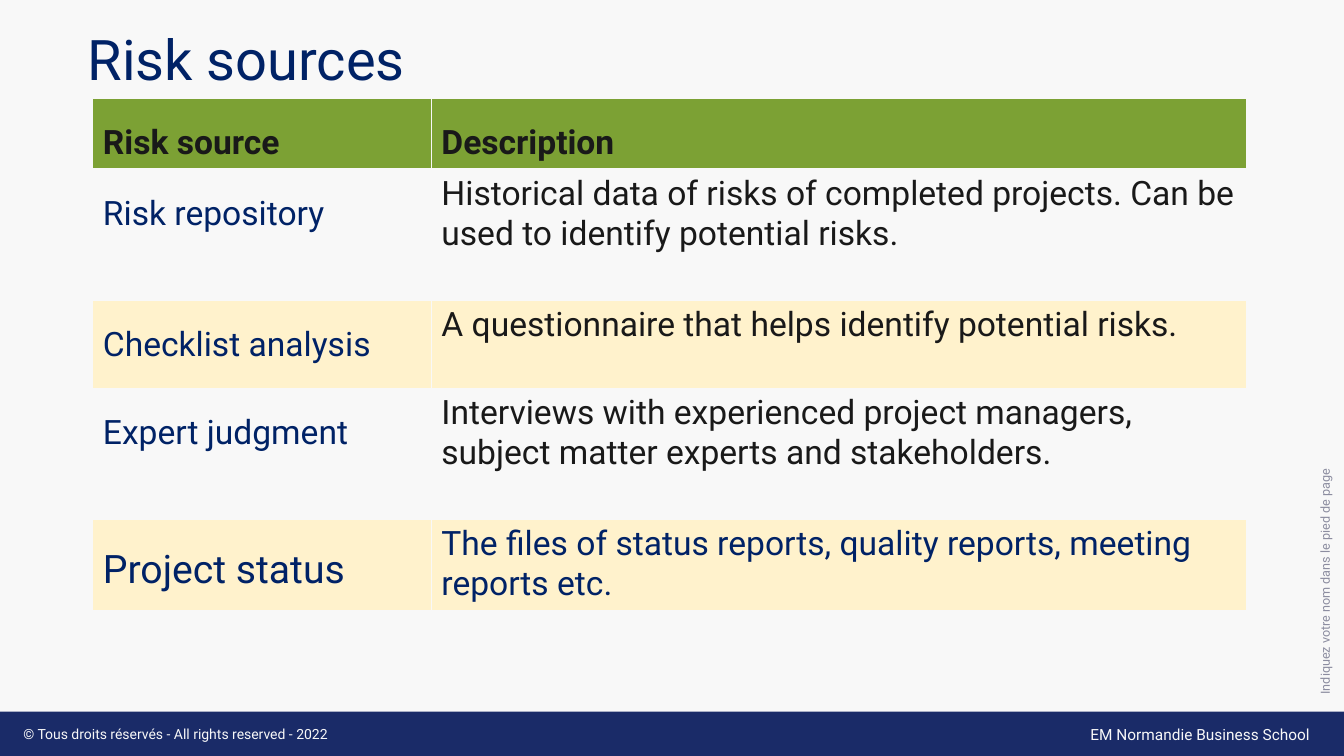
import dataclasses

import lxml.etree
import pptx
import pptx.dml.color
import pptx.enum.shapes
import pptx.enum.text
import pptx.oxml.ns
import pptx.util

Cm = pptx.util.Cm
Pt = pptx.util.Pt
MIDDLE = pptx.enum.text.MSO_ANCHOR.MIDDLE
TOP = pptx.enum.text.MSO_ANCHOR.TOP

COLORS = {
    "paper": "F8F8F8",
    "bar": "1A2B68",
    "navy": "002266",
    "ink": "191919",
    "grey": "8C8DA0",
    "green": "7CA134",
    "cream": "FFF2CC",
}


@dataclasses.dataclass
class Label:
    text: str
    box: tuple[float, float, float, float]
    size: float
    color: str
    anchor: pptx.enum.text.MSO_ANCHOR = TOP
    wrap: bool = False
    spacing: float = 1.0
    vert: str = "horz"


@dataclasses.dataclass
class Row:
    source: str
    description: str
    height: float
    fill: str
    source_color: str = "navy"
    text_color: str = "ink"
    source_size: float = 24
    header: bool = False


LABELS = [
    Label("EM Normandie Business School", (27.23, 18.14, 6.22, 0.74), 11, "paper"),
    Label("© Tous droits réservés - All rights reserved - 2022",
          (0.34, 18.16, 11.3, 0.69), 10, "paper"),
    Label("Risk sources", (1.96, 0.66, 29.21, 1.8), 40, "navy", MIDDLE, True, 0.9),
    Label("Indiquez votre nom dans le pied de page",
          (33.1, 1.24, 0.58, 16.51), 9, "grey", MIDDLE, True, vert="vert270"),
]

ROWS = [
    Row("Risk source", "Description", 1.69, "green", "ink", header=True),
    Row("Risk repository",
        "Historical data of risks of completed projects. Can be used to identify potential risks.",
        3.3, "paper"),
    Row("Checklist analysis", "A questionnaire that helps identify potential risks.",
        2.22, "cream"),
    Row("Expert judgment",
        "Interviews with experienced project managers, subject matter experts and stakeholders.",
        3.3, "paper"),
    Row("Project status", "The files of status reports, quality reports, meeting reports etc.",
        2.22, "cream", text_color="navy", source_size=28),
]
COLUMN_WIDTHS = (8.53, 20.55)


def rgb(name: str) -> pptx.dml.color.RGBColor:
    return pptx.dml.color.RGBColor.from_string(COLORS[name])


def add_text(tf: pptx.text.text.TextFrame, text: str, size: float, color: str,
             spacing: float = 1.0, bold: bool = False) -> None:
    p = tf.paragraphs[0]
    p.line_spacing = spacing
    r = p.add_run()
    r.text = text
    r.font.name = "Roboto"
    r.font.size = Pt(size)
    r.font.bold = bold
    r.font.color.rgb = rgb(color)


def add_label(s: pptx.slide.Slide, label: Label) -> None:
    sp = s.shapes.add_textbox(*map(Cm, label.box))
    tf = sp.text_frame
    tf.word_wrap = label.wrap
    tf.vertical_anchor = label.anchor
    sp.element.txBody.bodyPr.set("vert", label.vert)
    add_text(tf, label.text, label.size, label.color, label.spacing)


def add_border(cell: pptx.table._Cell, side: str, width: float) -> None:
    qn = pptx.oxml.ns.qn
    tc_pr = cell._tc.get_or_add_tcPr()
    ln = lxml.etree.SubElement(tc_pr, qn(f"a:ln{side}"), w=str(Pt(width)))
    fill = lxml.etree.SubElement(ln, qn("a:solidFill"))
    lxml.etree.SubElement(fill, qn("a:srgbClr"), val=COLORS["paper"])


def add_risk_table(s: pptx.slide.Slide) -> None:
    table = s.shapes.add_table(
        len(ROWS), len(COLUMN_WIDTHS), Cm(2.34), Cm(2.49),
        Cm(sum(COLUMN_WIDTHS)), Cm(sum(row.height for row in ROWS))).table
    table.horz_banding = False
    for column, width in zip(table.columns, COLUMN_WIDTHS):
        column.width = Cm(width)
    for i, row in enumerate(ROWS):
        table.rows[i].height = Cm(row.height)
        below_header = i > 0 and ROWS[i - 1].header
        borders = {"L": 1, "R": 1, "T": 3 if below_header else 1, "B": 3 if row.header else 1}
        contents = [
            (row.source, row.source_size, row.source_color, 1.5),
            (row.description, 24, row.text_color, 1.5 if row.header else 1.0),
        ]
        for j, content in enumerate(contents):
            cell = table.cell(i, j)
            for side, width in borders.items():
                add_border(cell, side, width)
            cell.fill.solid()
            cell.fill.fore_color.rgb = rgb(row.fill)
            add_text(cell.text_frame, *content, bold=row.header)


def add_footer_bar(s: pptx.slide.Slide) -> None:
    sp = s.shapes.add_shape(pptx.enum.shapes.MSO_SHAPE.RECTANGLE,
                            Cm(0), Cm(17.93), Cm(33.87), Cm(1.12))
    sp.shadow.inherit = False
    sp.fill.solid()
    sp.fill.fore_color.rgb = rgb("bar")
    sp.line.fill.background()


def main() -> None:
    """Build the risk sources slide."""
    prs = pptx.Presentation()
    prs.slide_width = Cm(33.87)
    prs.slide_height = Cm(19.05)
    s = prs.slides.add_slide(prs.slide_layouts[6])
    s.background.fill.solid()
    s.background.fill.fore_color.rgb = rgb("paper")
    add_footer_bar(s)
    for label in LABELS:
        add_label(s, label)
    add_risk_table(s)
    prs.save("out.pptx")


if __name__ == "__main__":
    main()
